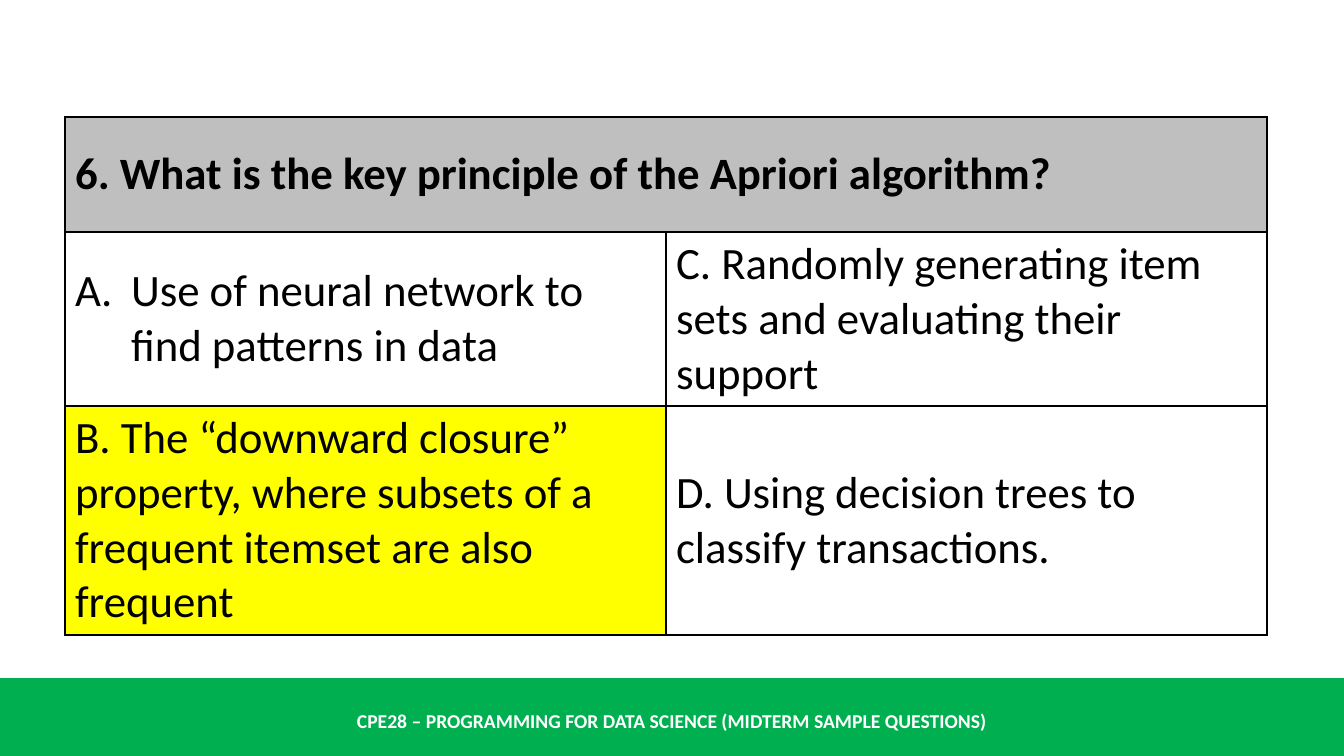
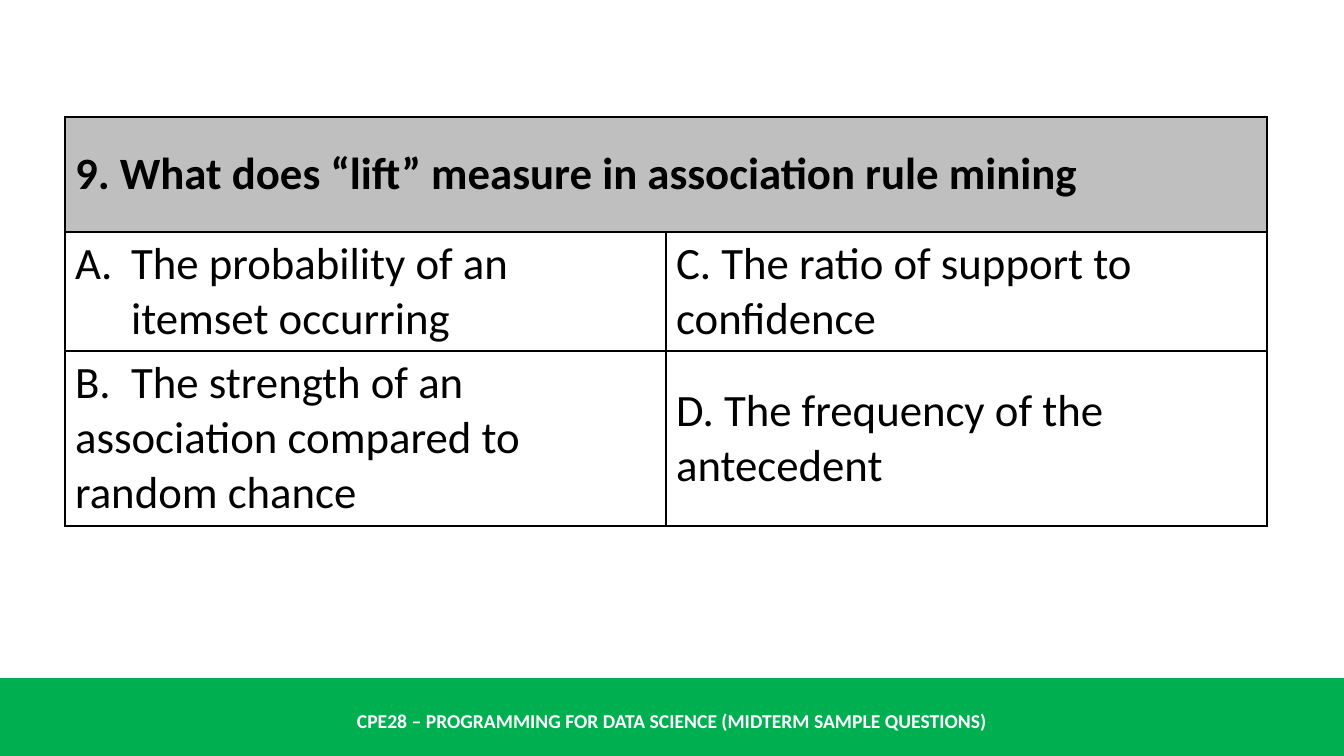
from lxml.etree import SubElement
from pptx import Presentation
from pptx.dml.color import RGBColor
from pptx.enum.shapes import MSO_SHAPE
from pptx.enum.text import MSO_ANCHOR, PP_ALIGN
from pptx.oxml.ns import qn
from pptx.util import Pt

FOOTER = "CPE28 – PROGRAMMING FOR DATA SCIENCE (MIDTERM SAMPLE QUESTIONS)"

# Choices run down the left column (A, B), then down the right one (C, D).
QUESTIONS = [
    {
        "question": "6. What is the key principle of the Apriori algorithm?",
        "choices": [
            "Use of neural network to find patterns in data",
            "B. The “downward closure” property, where subsets of a frequent itemset are also frequent",
            "C. Randomly generating item sets and evaluating their support",
            "D. Using decision trees to classify transactions.",
        ],
        "highlighted": 1,
        "row_heights": [115, 174, 229],
    },
    {
        "question": "9. What does “lift” measure in association rule mining",
        "choices": [
            "The probability of an itemset occurring",
            "B.\tThe strength of an association compared to random chance",
            "C. The ratio of support to confidence",
            "D. The frequency of the antecedent",
        ],
        "highlighted": None,
        "row_heights": [115, 119, 175],
    },
]

COLORS = {
    "band": "00B050",
    "footer": "FFFFFF",
    "text": "000000",
    "border": "000000",
    "question": "BFBFBF",
    "highlight": "FFFF00",
}
FONT = "Calibri"
SLIDE_WIDTH, SLIDE_HEIGHT = 1344, 756
BAND_TOP = 678
FOOTER_TOP, FOOTER_HEIGHT = 701, 40
TABLE_LEFT, TABLE_TOP, COLUMN_WIDTH = 65, 117, 601
LETTER_INDENT = 56


def px(length):
    return round(length * 914400 / 100.8)


def color(name):
    return RGBColor.from_string(COLORS[name])


def style_font(para, size, color_name, bold):
    font = para.font
    font.name, font.size, font.bold = FONT, Pt(size), bold
    font.color.rgb = color(color_name)


def add_footer(page, layout):
    """Draw the footer band and its text, then move both to the shared layout."""
    band = page.shapes.add_shape(
        MSO_SHAPE.RECTANGLE, 0, px(BAND_TOP), px(SLIDE_WIDTH), px(SLIDE_HEIGHT - BAND_TOP))
    band.shadow.inherit = False
    band.fill.solid()
    band.fill.fore_color.rgb = color("band")
    band.line.fill.background()

    box = page.shapes.add_textbox(0, px(FOOTER_TOP), px(SLIDE_WIDTH), px(FOOTER_HEIGHT))
    frame = box.text_frame
    frame.word_wrap = True
    frame.vertical_anchor = MSO_ANCHOR.MIDDLE
    para = frame.paragraphs[0]
    para.text = FOOTER
    para.alignment = PP_ALIGN.CENTER
    style_font(para, 14, "footer", True)

    for shape in (band, box):
        layout.shapes.element.append(shape.element)


def add_borders(cell):
    properties = cell._tc.get_or_add_tcPr()
    for side in ("lnL", "lnR", "lnT", "lnB"):
        line = SubElement(properties, qn(f"a:{side}"), w=str(Pt(1)))
        fill = SubElement(line, qn("a:solidFill"))
        SubElement(fill, qn("a:srgbClr"), val=COLORS["border"])


def number_with_letter(para):
    properties = para._p.get_or_add_pPr()
    properties.set("marL", str(px(LETTER_INDENT)))
    properties.set("indent", str(-px(LETTER_INDENT)))
    SubElement(properties, qn("a:buFont"), typeface="+mj-lt")
    SubElement(properties, qn("a:buAutoNum"), type="alphaUcPeriod")


def add_tab_stop(para):
    stops = SubElement(para._p.get_or_add_pPr(), qn("a:tabLst"))
    SubElement(stops, qn("a:tab"), pos=str(px(LETTER_INDENT)), algn="l")


def fill_cell(cell, text, fill_name=None, bold=False, lettered=False):
    cell.vertical_anchor = MSO_ANCHOR.MIDDLE
    if fill_name:
        cell.fill.solid()
        cell.fill.fore_color.rgb = color(fill_name)
    para = cell.text_frame.paragraphs[0]
    para.text = text
    if lettered:
        number_with_letter(para)
    if "\t" in text:
        add_tab_stop(para)
    style_font(para, 32, "text", bold)


def add_question(page, item):
    heights = item["row_heights"]
    table = page.shapes.add_table(
        len(heights), 2, px(TABLE_LEFT), px(TABLE_TOP),
        px(2 * COLUMN_WIDTH), px(sum(heights))).table
    table.first_row = table.horz_banding = False
    for column in table.columns:
        column.width = px(COLUMN_WIDTH)
    for row, height in zip(table.rows, heights):
        row.height = px(height)
    for cell in table.iter_cells():
        add_borders(cell)
        cell.fill.background()

    table.cell(0, 0).merge(table.cell(0, 1))
    fill_cell(table.cell(0, 0), item["question"], "question", bold=True)
    for index, choice in enumerate(item["choices"]):
        column, row = divmod(index, 2)
        fill_name = "highlight" if index == item["highlighted"] else None
        fill_cell(table.cell(row + 1, column), choice, fill_name, lettered=index == 0)


def main():
    deck = Presentation()
    deck.slide_width, deck.slide_height = px(SLIDE_WIDTH), px(SLIDE_HEIGHT)
    layout = deck.slide_layouts.get_by_name("Blank")
    pages = [deck.slides.add_slide(layout) for _ in QUESTIONS]
    add_footer(pages[0], layout)
    for page, item in zip(pages, QUESTIONS):
        add_question(page, item)
    deck.save("out.pptx")


if __name__ == "__main__":
    main()
